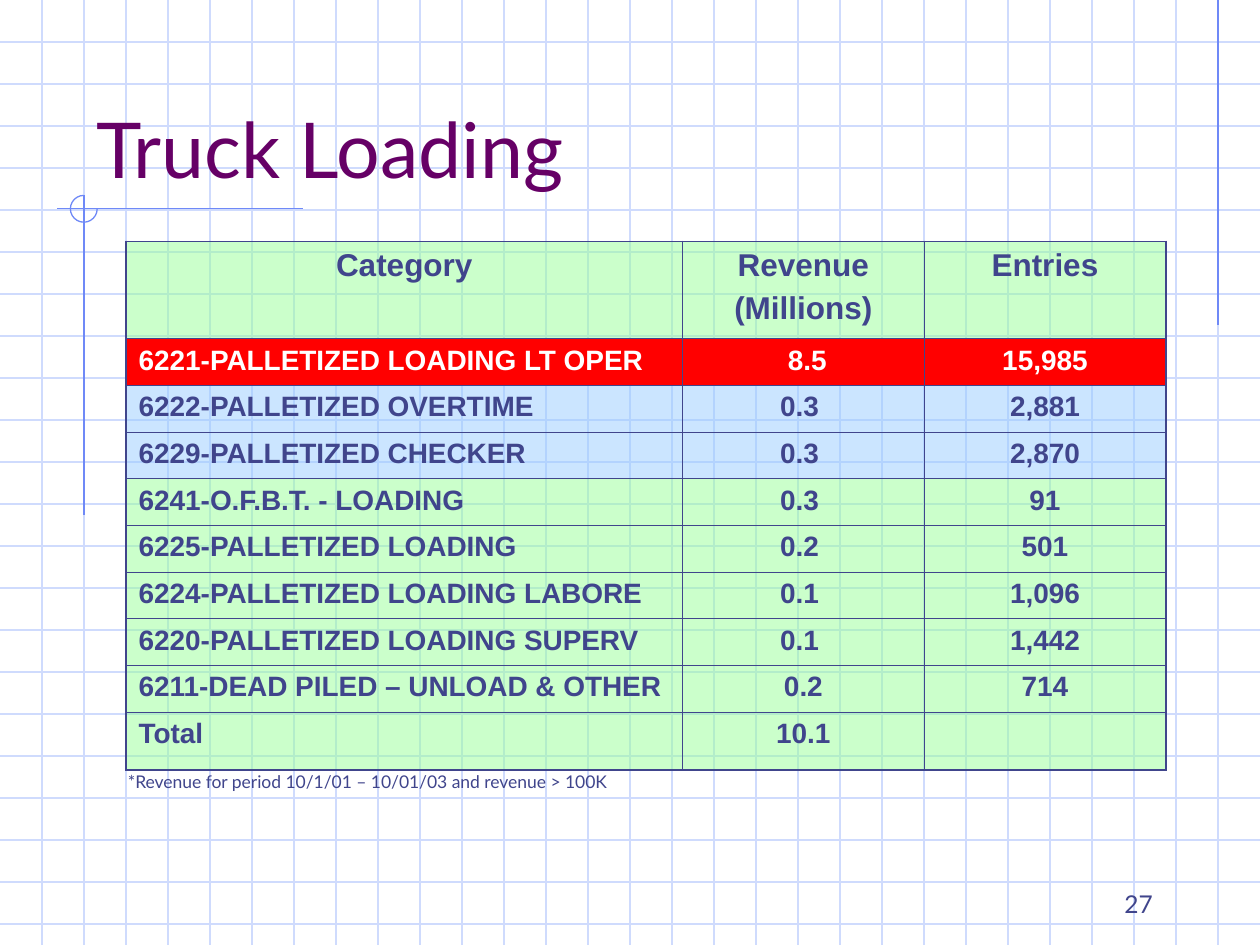
from lxml import etree
from pptx import Presentation
from pptx import util as u
from pptx.dml.color import RGBColor
from pptx.enum import shapes, text
from pptx.oxml import ns

COLORS = {
    "grid": "CFDBFD",
    "accent": "6F89F7",
    "title": "660066",
    "ink": "40458C",
    "white": "FFFFFF",
    "red": "FF0000",
    "blue": "99CCFF",
    "green": "99FF99",
}
WIDTH, HEIGHT, STEP = 25.4, 19.05, 2.54 / 3
THIN, THICK = 0.45, 1.08
COLUMN_WIDTHS = [11.22, 4.87, 4.87]
ROW_HEIGHTS = [1.96] + [0.94] * 8 + [1.17]
ROWS = [
    ("green", "Category", "Revenue\n(Millions)", "Entries"),
    ("red", "6221-PALLETIZED LOADING LT OPER", " 8.5", "15,985"),
    ("blue", "6222-PALLETIZED OVERTIME", "0.3 ", "2,881"),
    ("blue", "6229-PALLETIZED CHECKER", "0.3 ", "2,870"),
    ("green", "6241-O.F.B.T. - LOADING", "0.3 ", "91"),
    ("green", "6225-PALLETIZED LOADING", "0.2 ", "501"),
    ("green", "6224-PALLETIZED LOADING LABORE", "0.1 ", "1,096"),
    ("green", "6220-PALLETIZED LOADING SUPERV", "0.1 ", "1,442"),
    ("green", "6211-DEAD PILED – UNLOAD & OTHER", "0.2", "714"),
    ("green", "Total", "10.1", ""),
]


def rgb(color):
    return RGBColor.from_string(COLORS[color])


def write(frame, words, size, color="ink", font="Lato", bold=False,
          align=text.PP_ALIGN.LEFT, before=0):
    frame.word_wrap = True
    for index, line in enumerate(words.split("\n")):
        para = frame.add_paragraph() if index else frame.paragraphs[0]
        para.alignment = align
        para.space_before = u.Pt(before)
        span = para.add_run()
        span.text = line
        span.font.size = u.Pt(size)
        span.font.name = font
        span.font.bold = bold
        span.font.color.rgb = rgb(color)


def add_line(page, x1, y1, x2, y2, color="accent"):
    line = page.shapes.add_connector(
        shapes.MSO_CONNECTOR.STRAIGHT, u.Cm(x1), u.Cm(y1), u.Cm(x2), u.Cm(y2))
    line.line.color.rgb = rgb(color)
    line.line.width = u.Pt(0.75)
    etree.SubElement(line.element.spPr, ns.qn("a:effectLst"))


def add_grid(page):
    for row in range(1, 23):
        add_line(page, 0, row * STEP, WIDTH, row * STEP, "grid")
    for column in range(1, 30):
        add_line(page, column * STEP, 0, column * STEP, HEIGHT, "grid")


def add_ornaments(page):
    add_line(page, 29 * STEP, 0, 29 * STEP, 6.55)
    add_line(page, 6.1, 4.21, 1.14, 4.21)
    add_line(page, 2 * STEP, 3.94, 2 * STEP, 10.39)
    arc = page.shapes.add_shape(
        shapes.MSO_SHAPE.ARC, u.Cm(1.42), u.Cm(3.94), u.Cm(0.54), u.Cm(0.54))
    arc.shadow.inherit = False
    arc.adjustments[0] = 0
    arc.adjustments[1] = 162
    arc.fill.background()
    arc.line.color.rgb = rgb("accent")
    arc.line.width = u.Pt(0.75)


def add_title(page, words):
    title = page.shapes.title
    title.element.getparent().append(title.element)
    title.left, title.top = u.Cm(1.69), u.Cm(0.85)
    title.width, title.height = u.Cm(21.59), u.Cm(3.18)
    frame = title.text_frame
    frame.auto_size = text.MSO_AUTO_SIZE.NONE
    frame.vertical_anchor = text.MSO_ANCHOR.BOTTOM
    write(frame, words, 44, "title")


def add_text(page, words, left, top, width, height, anchor=text.MSO_ANCHOR.TOP, **format):
    box = page.shapes.add_textbox(u.Cm(left), u.Cm(top), u.Cm(width), u.Cm(height))
    box.text_frame.vertical_anchor = anchor
    write(box.text_frame, words, **format)


def fill_cell(cell, color):
    cell.fill.solid()
    cell.fill.fore_color.rgb = rgb(color)
    if color != "red":
        shade = cell._tc.tcPr.find(".//" + ns.qn("a:srgbClr"))
        etree.SubElement(shade, ns.qn("a:alpha"), val="50000")


def border_cell(cell, widths):
    for index, (side, width) in enumerate(widths.items()):
        line = etree.Element(ns.qn("a:ln" + side), w=str(u.Pt(width)))
        fill = etree.SubElement(line, ns.qn("a:solidFill"))
        etree.SubElement(fill, ns.qn("a:srgbClr"), val=COLORS["ink"])
        cell._tc.get_or_add_tcPr().insert(index, line)


def add_revenue_table(page):
    table = page.shapes.add_table(
        len(ROWS), len(COLUMN_WIDTHS), u.Cm(2.54), u.Cm(4.87),
        u.Cm(sum(COLUMN_WIDTHS)), u.Cm(sum(ROW_HEIGHTS))).table
    table.first_row = table.horz_banding = False
    for column, width in zip(table.columns, COLUMN_WIDTHS):
        column.width = u.Cm(width)
    last_row, last_column = len(ROWS) - 1, len(COLUMN_WIDTHS) - 1
    for r, (color, *values) in enumerate(ROWS):
        table.rows[r].height = u.Cm(ROW_HEIGHTS[r])
        for c, value in enumerate(values):
            cell = table.cell(r, c)
            fill_cell(cell, color)
            border_cell(cell, {
                "L": THICK if c == 0 else THIN,
                "R": THICK if c == last_column else THIN,
                "T": THICK if r == 0 else THIN,
                "B": THICK if r == last_row else THIN,
            })
            if value:
                centred = r == 0 or c > 0
                write(cell.text_frame, value, 16 if r else 18,
                      "white" if color == "red" else "ink", "Arial", True,
                      text.PP_ALIGN.CENTER if centred else text.PP_ALIGN.LEFT,
                      4 if r else 4.5)


def main():
    deck = Presentation()
    deck.slide_width, deck.slide_height = u.Cm(WIDTH), u.Cm(HEIGHT)
    page = deck.slides.add_slide(deck.slide_layouts[5])
    add_grid(page)
    add_ornaments(page)
    add_title(page, "Truck Loading")
    add_revenue_table(page)
    add_text(page, "*Revenue for period 10/1/01 – 10/01/03 and revenue > 100K",
             2.33, 15.42, 20.75, 0.69, size=10, before=6.2)
    add_text(page, "27", 18.2, 17.36, 5.29, 1.27, text.MSO_ANCHOR.BOTTOM,
             size=14, align=text.PP_ALIGN.RIGHT)
    deck.save("out.pptx")


if __name__ == "__main__":
    main()
